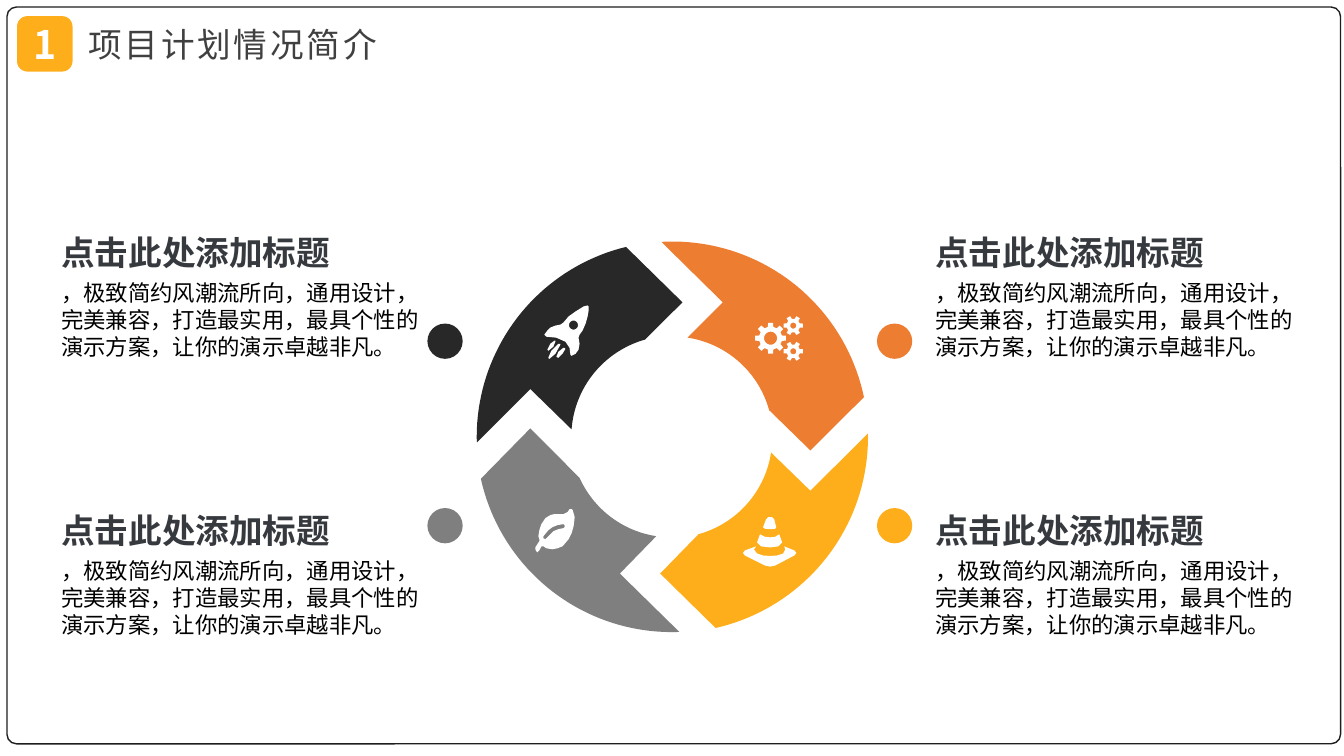
from math import atan2, cos, hypot, pi, sin, tau

from lxml import etree
from pptx import Presentation
from pptx.dml.color import RGBColor
from pptx.enum.shapes import MSO_SHAPE
from pptx.enum.text import MSO_ANCHOR, PP_ALIGN
from pptx.oxml.ns import qn
from pptx.util import Pt

ROUNDED, ELLIPSE = MSO_SHAPE.ROUNDED_RECTANGLE, MSO_SHAPE.OVAL
MIDDLE, TOP = MSO_ANCHOR.MIDDLE, MSO_ANCHOR.TOP
CENTER, LEFT = PP_ALIGN.CENTER, PP_ALIGN.LEFT
SANS = "Noto Sans CJK SC"
BLACK, ORANGE, GRAY, YELLOW, WHITE = "282828", "ED7D31", "7F7F7F", "FEAE1B", "FFFFFF"

NUMBER = {"name": SANS, "size": Pt(28), "bold": True}
HEADING = {"name": SANS, "size": Pt(24)}
TOPIC = {"name": "League Spartan", "size": Pt(24), "bold": True}
BODY = {"name": SANS, "size": Pt(16)}
TOPIC_TEXT = "点击此处添加标题"
BODY_TEXT = "，极致简约风潮流所向，通用设计，完美兼容，打造最实用，最具个性的演示方案，让你的演示卓越非凡。"

RING_CENTER = (139.7, 139.3)
ARROWS = [
    (BLACK, [(106.6, 3.6), (146.9, 43.2), (120.2, 69.8), (67.7, 133.9), (38.2, 105.1), (0, 143.3)]),
    (ORANGE, [(276.5, 110.9), (238.3, 149), (208.8, 120.2), (150.5, 68.4), (175.7, 43.2), (131.8, 0)]),
    (GRAY, [(2.9, 169.2), (38.2, 133.2), (73.4, 168.5), (128.2, 210.2), (102.2, 236.9), (144.7, 278.6)]),
    (YELLOW, [(170.6, 275.8), (131, 236.9), (158.4, 208.8), (210.2, 150.5), (238.3, 177.8), (279.4, 136.8)]),
]


def circle(x, y, radius):
    """Return the points of a circle."""
    return [(x + radius * cos(tau * i / 24), y + radius * sin(tau * i / 24)) for i in range(24)]


def gear(x, y, outer, inner, teeth):
    """Return the points of a gear rim with evenly spaced teeth."""
    step = tau / teeth
    profile = [(-0.3, inner), (-0.2, outer), (0.2, outer), (0.3, inner)]
    return [(x + r * cos(step * (i + turn)), y + r * sin(step * (i + turn)))
            for i in range(teeth) for turn, r in profile]


ROCKET = [
    [(43, 0), (44, 1), (44, 5), (43, 11), (41, 18), (38, 25), (35, 29), (34, 32), (35, 38), (34, 44),
     (31, 48), (27, 50), (26, 49), (25, 42), (21, 36), (12, 32), (2, 31), (0, 29), (3, 25), (6, 22),
     (11, 20), (16, 19), (19, 17), (24, 11), (31, 6), (39, 1)],
    circle(29, 19.5, 4.5),
    [(20, 42), (21, 43), (18, 48), (14, 52), (12, 51), (14, 46), (19, 42)],
    [(16, 38), (16, 39), (11, 48), (5, 53), (4, 52), (7, 45), (14, 38)],
    [(11, 35), (11, 36), (9, 41), (4, 45), (3, 44), (6, 38), (10, 35)],
]
GEARS = [
    gear(15.5, 21.5, 15.5, 11.5, 8), circle(15.5, 21.5, 6.5),
    gear(38, 9, 9.8, 6.8, 6), circle(38, 9, 3),
    gear(38, 34.5, 9.8, 6.8, 6), circle(38, 34.5, 3),
]
LEAF = [
    [(37, 1), (39, 8), (38, 17), (36, 24), (33, 30), (27, 37), (22, 39), (17, 40), (11, 39), (8, 37),
     (6, 37), (4, 41), (2, 43), (1, 42), (0, 40), (0, 38), (2, 35), (4, 32), (4, 30), (3, 27), (4, 21),
     (6, 15), (10, 9), (15, 6), (19, 5), (28, 5), (32, 3), (34, 0), (36, 0)],
    [(28, 19), (29, 18), (29, 16), (28, 15), (22, 16), (17, 18), (13, 21), (8, 27), (8, 29), (10, 30),
     (11, 29), (15, 25), (18, 22), (23, 20)],
]
CONE = [
    [(51, 33), (53, 35.5), (51, 38), (32, 48), (27, 49), (22, 48), (2, 38), (0, 35.5), (2, 33), (13, 29),
     (11, 32), (14, 36), (20, 38), (27, 38.5), (34, 38), (40, 36), (42, 32), (41, 29)],
    [(27, 12), (32, 11.5), (33, 10), (31, 2), (29, 0), (25, 0), (23, 2), (20, 10), (22, 11.5)],
    [(27, 30), (35, 29), (39, 25), (36, 17), (32, 19.5), (27, 20), (22, 19.5), (17, 17), (14, 25), (18, 29)],
]
ICONS = [(ROCKET, (48.2, 45.4)), (GEARS, (198.7, 53.3)), (LEAF, (41.8, 190.8)), (CONE, (190.1, 196.6))]
ICON_UNIT = 0.72


def rgb(value):
    """Turn a hex string into a colour."""
    return RGBColor.from_string(value)


def paint(shape, fill=None, line=None):
    """Set the fill and outline of a shape and remove its shadow."""
    shape.shadow.inherit = False
    if fill:
        shape.fill.solid()
        shape.fill.fore_color.rgb = rgb(fill)
    else:
        shape.fill.background()
    if line:
        shape.line.color.rgb = rgb(line)
        shape.line.width = Pt(1)
    else:
        shape.line.fill.background()


def add_preset(slide, kind, box, fill=None, line=None, corner=None):
    """Draw a preset shape in a box."""
    shape = slide.shapes.add_shape(kind, *map(Pt, box))
    paint(shape, fill, line)
    if corner is not None:
        shape.adjustments[0] = corner
    return shape


def write(shape, text, font, color, align=LEFT, anchor=TOP, wrap=True, spacing=None):
    """Put one formatted paragraph in a shape."""
    frame = shape.text_frame
    frame.word_wrap, frame.vertical_anchor = wrap, anchor
    paragraph = frame.paragraphs[0]
    paragraph.alignment = align
    run = paragraph.add_run()
    run.text = text
    for attribute, value in font.items():
        setattr(run.font, attribute, value)
    run.font.color.rgb = rgb(color)
    properties = run._r.get_or_add_rPr()
    etree.SubElement(properties, qn("a:ea")).set("typeface", SANS)
    if spacing:
        properties.set("spc", str(spacing))


def add_outline(slide, origin, contours, fill, unit=1):
    """Draw closed contours as one filled shape."""
    left, top = origin
    placed = [[(Pt(left + x * unit), Pt(top + y * unit)) for x, y in contour] for contour in contours]
    builder = slide.shapes.build_freeform(*placed[0][0])
    for index, (start, *others) in enumerate(placed):
        if index:
            builder.move_to(*start)
        builder.add_line_segments(others, close=True)
    paint(builder.convert_to_shape(), fill)


def arc(start, end, steps=40):
    """Return points along the shorter arc around the ring centre."""
    cx, cy = RING_CENTER
    (r0, a0), (r1, a1) = [(hypot(x - cx, y - cy), atan2(y - cy, x - cx)) for x, y in (start, end)]
    sweep = (a1 - a0 + pi) % tau - pi
    polar = [(r0 + (r1 - r0) * i / steps, a0 + sweep * i / steps) for i in range(steps + 1)]
    return [(cx + r * cos(a), cy + r * sin(a)) for r, a in polar]


def add_header(slide, left, top, size):
    """Draw the section number and heading."""
    badge = add_preset(slide, ROUNDED, (left, top, size, size), YELLOW, corner=0.186)
    for side in ("left", "top", "right", "bottom"):
        setattr(badge.text_frame, "margin_" + side, 0)
    write(badge, "1", NUMBER, WHITE, CENTER, MIDDLE)
    heading = add_preset(slide, ROUNDED, (left + size + 0.7, top, 227.5, size), corner=0.091)
    write(heading, "项目计划情况简介", HEADING, "404040", CENTER, MIDDLE, spacing=200)


def add_ring(slide, left, top):
    """Draw the arrow ring with its icons."""
    for color, (head_outer, tip, head_inner, tail_inner, notch, tail_outer) in ARROWS:
        contour = [tip, *arc(head_inner, tail_inner), notch, *arc(tail_outer, head_outer)]
        add_outline(slide, (left, top), [contour], color)
    for contours, (x, y) in ICONS:
        add_outline(slide, (left + x, top + y), contours, WHITE, ICON_UNIT)


def add_topic(slide, left, top, dot_left, dot_top, color):
    """Draw one topic with its title, description and coloured dot."""
    add_preset(slide, ELLIPSE, (dot_left, dot_top, 25.2, 25.2), color)
    description = slide.shapes.add_textbox(*map(Pt, (left, top + 33.8, 272.9, 65.5)))
    write(description, BODY_TEXT, BODY, "000000")
    title = slide.shapes.add_textbox(*map(Pt, (left, top, 208, 36)))
    write(title, TOPIC_TEXT, TOPIC, "36393E", wrap=False)


def main():
    """Build and save the slide."""
    deck = Presentation()
    deck.slide_width, deck.slide_height = Pt(960), Pt(540)
    slide = deck.slides.add_slide(deck.slide_layouts[6])
    add_header(slide, 12.2, 11.5, 39.6)
    add_preset(slide, ROUNDED, (5, 5, 952.6, 526.3), line="1E1E1E", corner=0.013)
    add_ring(slide, 340.6, 172.8)
    places = [(left, top, dot_left, dot_top)
              for top, dot_top in ((162, 231.1), (360.7, 362.9))
              for left, dot_left in ((36.7, 305.3), (661, 626.4))]
    for place, (color, _) in zip(places, ARROWS):
        add_topic(slide, *place, color)
    deck.save("out.pptx")


if __name__ == "__main__":
    main()
